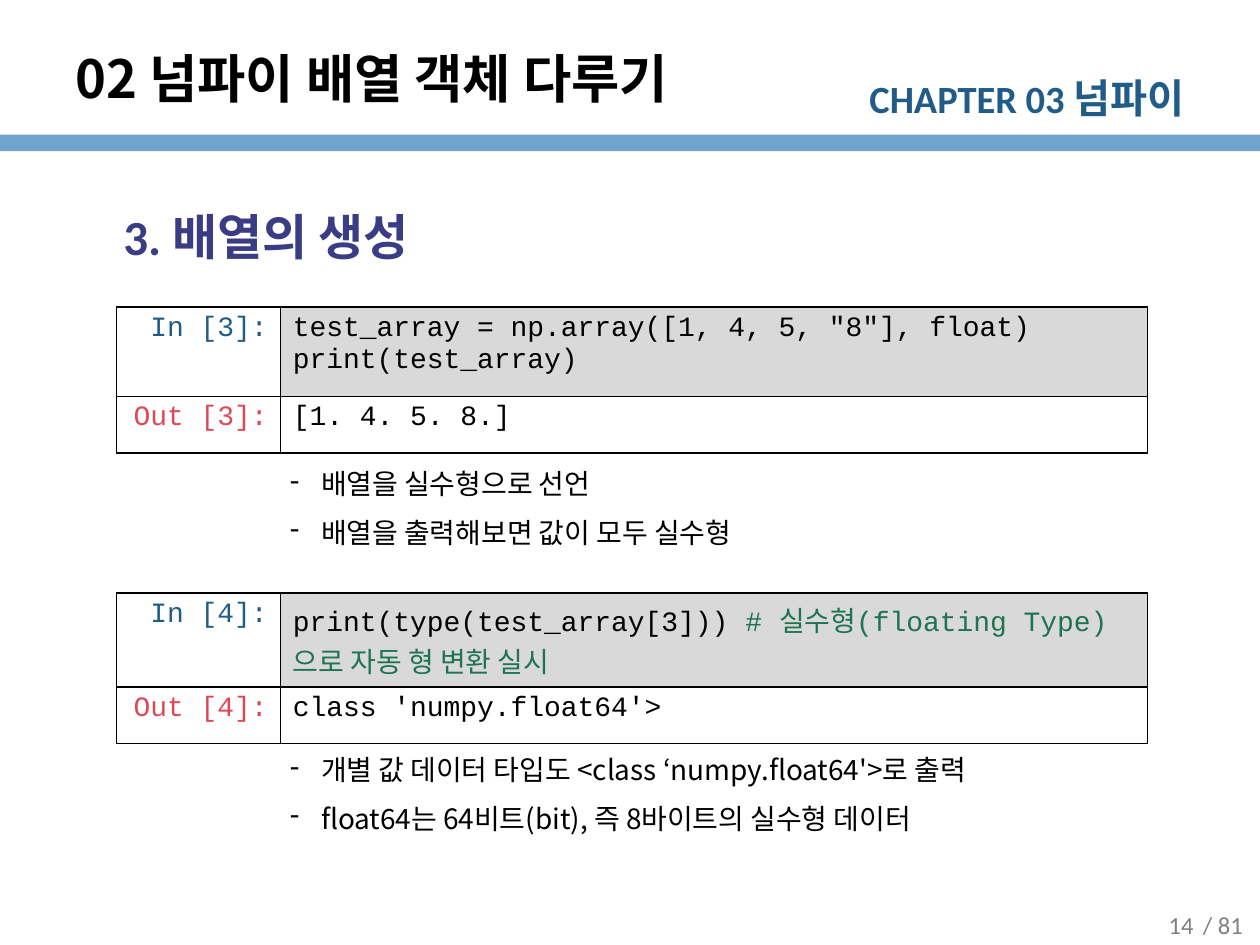
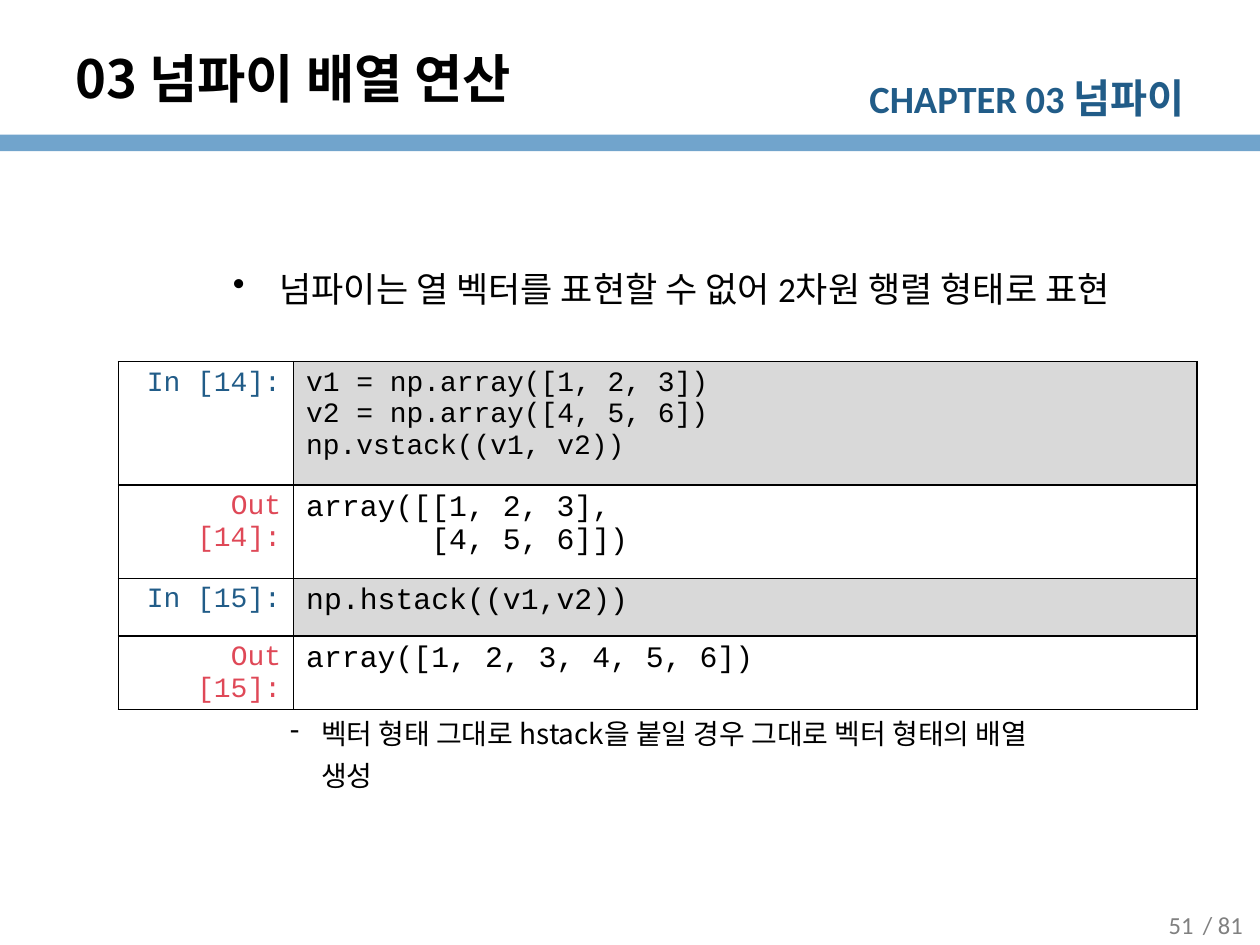
import pptx
import pptx.util
import pptx.dml.color
import pptx.enum.shapes
import pptx.enum.text
import pptx.oxml
import pptx.oxml.ns

Pt = pptx.util.Pt
Align = pptx.enum.text.PP_ALIGN
Anchor = pptx.enum.text.MSO_ANCHOR

BLACK, BLUE, RED, GREEN = "000000", "215C88", "DF4857", "1E7452"
BAND, HEADING, GRAY, CODE_FILL = "71A4CC", "3A3C84", "808080", "D9D9D9"
KOREAN, LATIN, MONO = "Noto Sans CJK KR", "Calibri", "Courier New"
PAGE_COUNT = 81


def rgb(hex_color):
    return pptx.dml.color.RGBColor.from_string(hex_color)


def add_xml(parent, xml):
    namespaces = pptx.oxml.ns.nsdecls("a")
    parent.append(pptx.oxml.parse_xml(xml.replace(" ", f" {namespaces} ", 1)))


class Lecture:
    """Holds the shared style and the slide being built."""

    def __init__(self):
        self.deck = pptx.Presentation()
        self.deck.slide_width, self.deck.slide_height = Pt(720), Pt(540)
        self.slide = None

    def start_slide(self, title, page):
        self.slide = self.deck.slides.add_slide(self.deck.slide_layouts[5])
        self.band()
        chapter = self.text_box(476.6, 38.2, 207.4, 34.6).paragraphs[0]
        chapter.alignment = Align.RIGHT
        self.run(chapter, "CHAPTER 03 ", 22, LATIN, BLUE, True)
        self.run(chapter, "넘파이", 23, LATIN, BLUE, True)
        for left, label in ((673.2, f"/ {PAGE_COUNT}"), (649.4, str(page))):
            frame = self.text_box(left, 514.1, 51.1, 28.1)
            frame.vertical_anchor = Anchor.MIDDLE
            frame.paragraphs[0].alignment = Align.CENTER
            self.run(frame.paragraphs[0], label, 14, LATIN, GRAY)
        self.title(title)

    def title(self, text):
        holder = self.slide.shapes.title
        holder.left, holder.top = Pt(36), Pt(22.2)
        holder.width, holder.height = Pt(563.8), Pt(44.6)
        frame = holder.text_frame
        frame.auto_size = pptx.enum.text.MSO_AUTO_SIZE.NONE
        frame.vertical_anchor = Anchor.MIDDLE
        frame.paragraphs[0].alignment = Align.LEFT
        self.run(frame.paragraphs[0], text, 30, KOREAN, BLACK, True)

    def band(self):
        band = self.slide.shapes.add_shape(
            pptx.enum.shapes.MSO_SHAPE.RECTANGLE, 0, Pt(77), Pt(720), Pt(9.4))
        band.shadow.inherit = False
        band.fill.solid()
        band.fill.fore_color.rgb = rgb(BAND)
        band.line.fill.background()

    def text_box(self, left, top, width, height):
        box = self.slide.shapes.add_textbox(Pt(left), Pt(top), Pt(width), Pt(height))
        box.text_frame.word_wrap = True
        return box.text_frame

    def run(self, paragraph, text, size, font, color, bold=False):
        """Add a run with no kerning, so that Korean word gaps keep full width."""
        run = paragraph.add_run()
        run.text = text
        run.font.size, run.font.name, run.font.bold = Pt(size), font, bold
        run.font.color.rgb = rgb(color)
        run.font._element.set("kern", "0")
        add_xml(run.font._element, f'<a:ea typeface="{KOREAN}"/>')

    def outline(self, paragraph, margin, indent, before, bullet=None):
        """Set the indents, spacing and bullet of an outline paragraph."""
        paragraph.line_spacing, paragraph.space_before = 1.25, Pt(before)
        properties = paragraph._p.get_or_add_pPr()
        properties.set("marL", str(Pt(margin)))
        properties.set("indent", str(Pt(indent)))
        if bullet:
            add_xml(properties, f'<a:buChar char="{bullet}"/>')

    def heading(self, text):
        paragraph = self.text_box(36, 105.8, 648, 60).paragraphs[0]
        self.outline(paragraph, 27.4, 0, 7.7)
        self.run(paragraph, text, 28, LATIN, HEADING, True)

    def main_point(self, text):
        paragraph = self.text_box(36, 143.4, 648, 44).paragraphs[0]
        self.outline(paragraph, 116.6, -26.6, 4, "•")
        self.run(paragraph, text, 20, LATIN, BLACK)

    def remarks(self, top, lines, width=604.8):
        frame = self.text_box(50.4, top, width, 29 * len(lines))
        for index, line in enumerate(lines):
            paragraph = frame.add_paragraph() if index else frame.paragraphs[0]
            self.outline(paragraph, 126, -18, 3.8, "‐")
            self.run(paragraph, line, 16, KOREAN, BLACK)

    def notebook(self, left, top, widths, heights, entries):
        """Draw In/Out rows; an entry is (label, size, lines of (text, color) runs)."""
        frame = self.slide.shapes.add_table(
            len(entries), 2, Pt(left), Pt(top), Pt(sum(widths)), Pt(sum(heights)))
        table = frame.table
        table.first_row = table.horz_banding = False
        for column, width in zip(table.columns, widths):
            column.width = Pt(width)
        for row, height, (label, size, lines) in zip(table.rows, heights, entries):
            row.height = Pt(height)
            is_input = label.startswith("In")
            prompt, code_cell = row.cells
            self.cell(prompt, 16, [[(label, BLUE if is_input else RED)]], "FFFFFF")
            prompt.text_frame.paragraphs[0].alignment = Align.RIGHT
            self.cell(code_cell, size, lines, CODE_FILL if is_input else "FFFFFF")

    def cell(self, cell, size, lines, fill):
        cell.margin_bottom = 0
        frame = cell.text_frame
        for index, line in enumerate(lines):
            paragraph = frame.add_paragraph() if index else frame.paragraphs[0]
            for text, color in line:
                self.run(paragraph, text, size, MONO, color)
        properties = cell._tc.get_or_add_tcPr()
        for side in "LRTB":
            add_xml(properties, f'<a:ln{side} w="{Pt(1)}"><a:solidFill>'
                                f'<a:srgbClr val="{BLACK}"/></a:solidFill></a:ln{side}>')
        cell.fill.solid()
        cell.fill.fore_color.rgb = rgb(fill)


def code(*lines):
    return [[(line, BLACK)] for line in lines]


def build_array_creation(lecture):
    lecture.start_slide("02 넘파이 배열 객체 다루기", 14)
    lecture.heading("3. 배열의 생성")
    widths = (93.6, 495.4)
    lecture.notebook(66.6, 175.4, widths, (51.1, 32.4), [
        ("In [3]:", 16, code('test_array = np.array([1, 4, 5, "8"], float)',
                             "print(test_array)")),
        ("Out [3]:", 16, code("[1. 4. 5. 8.]")),
    ])
    lecture.notebook(66.6, 338.8, widths, (53.7, 32.4), [
        ("In [4]:", 16, [[("print(type(test_array[3])) ", BLACK),
                          ("# 실수형(floating Type)으로 자동 형 변환 실시", GREEN)]]),
        ("Out [4]:", 16, code("class 'numpy.float64'>")),
    ])
    lecture.remarks(258.5, ["배열을 실수형으로 선언",
                            "배열을 출력해보면 값이 모두 실수형"])
    lecture.remarks(421.9, ["개별 값 데이터 타입도 <class ‘numpy.float64'>로 출력",
                            "float64는 64비트(bit), 즉 8바이트의 실수형 데이터"])


def build_array_operations(lecture):
    lecture.start_slide("03 넘파이 배열 연산", 51)
    lecture.main_point("넘파이는 열 벡터를 표현할 수 없어 2차원 행렬 형태로 표현")
    lecture.notebook(67.7, 206.6, (100.1, 516.2), (70.6, 53.3, 33.1, 42), [
        ("In [14]:", 16, code("v1 = np.array([1, 2, 3])", "v2 = np.array([4, 5, 6])",
                              "np.vstack((v1, v2))")),
        ("Out [14]:", 17, code("array([[1, 2, 3],", "       [4, 5, 6]])")),
        ("In [15]:", 17, code("np.hstack((v1,v2))")),
        ("Out [15]:", 17, code("array([1, 2, 3, 4, 5, 6])")),
    ])
    lecture.remarks(401, ["벡터 형태 그대로 hstack을 붙일 경우 그대로 벡터 형태의 배열 생성"],
                    width=545)


def main():
    lecture = Lecture()
    build_array_creation(lecture)
    build_array_operations(lecture)
    lecture.deck.save("out.pptx")


if __name__ == "__main__":
    main()
